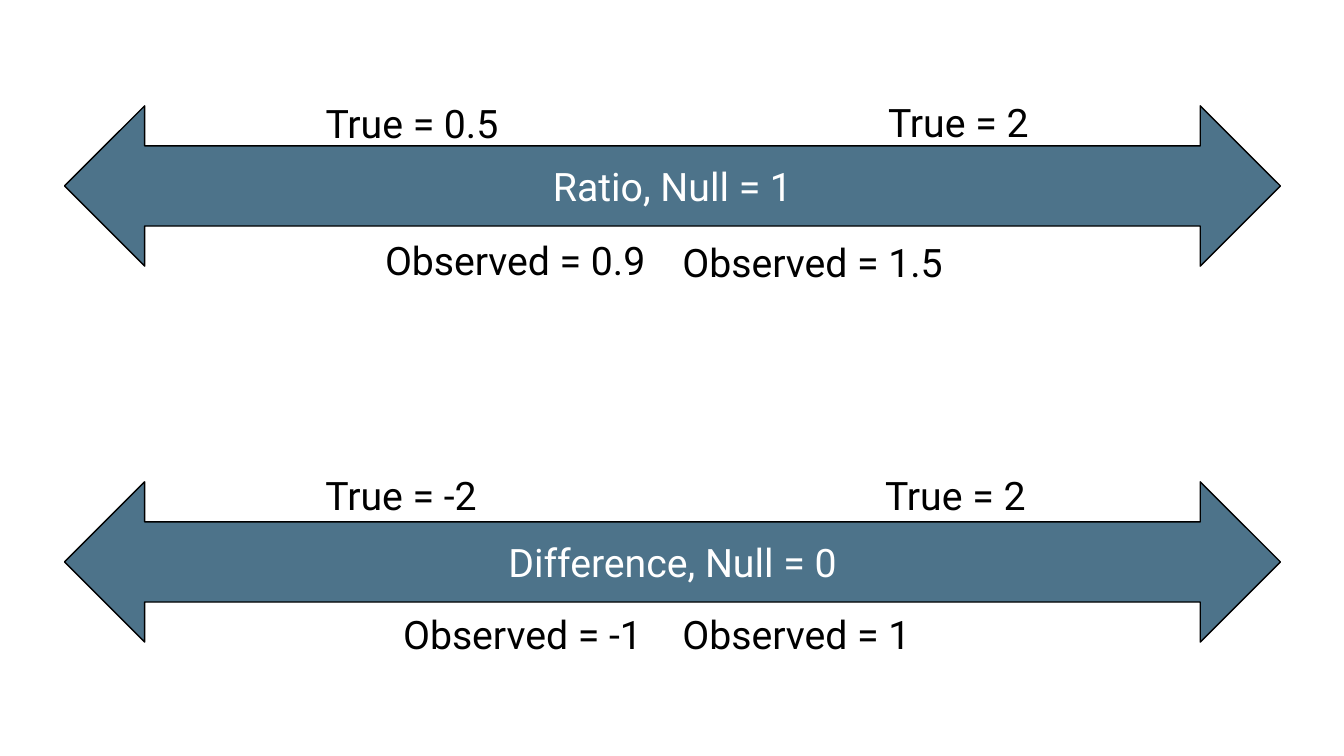
from pptx import Presentation
from pptx.dml.color import RGBColor
from pptx.enum.shapes import MSO_SHAPE
from pptx.enum.text import MSO_ANCHOR, MSO_AUTO_SIZE, PP_ALIGN
from pptx.util import Emu, Pt

EMU_PER_PX = 9144
LABEL_HEIGHT = 57
SCALES = [
    ("Ratio, Null = 1", 105, [
        ("True = 2", 871, 93, 184),
        ("Observed = 1.5", 667, 232, 312),
        ("True = 0.5", 313, 94, 215),
        ("Observed = 0.9", 372, 230, 312),
    ]),
    ("Difference, Null = 0", 478, [
        ("True = 2", 868, 463, 197),
        ("Observed = 1", 667, 601, 312),
        ("True = -2", 313, 463, 197),
        ("Observed = -1", 390, 601, 277),
    ]),
]


def px(length):
    return Emu(length * EMU_PER_PX)


def color(value):
    return RGBColor.from_string(value)


def write(frame, wording, ink):
    frame.text = wording
    font = frame.paragraphs[0].runs[0].font
    font.name = "Roboto"
    font.size = Pt(28)
    font.color.rgb = color(ink)


def add_null_arrow(group, wording, top):
    arrow = group.shapes.add_shape(
        MSO_SHAPE.LEFT_RIGHT_ARROW, px(64), px(top), px(1206), px(159))
    arrow.shadow.inherit = False
    arrow.fill.solid()
    arrow.fill.fore_color.rgb = color("4D738A")
    arrow.line.color.rgb = color("000000")
    arrow.line.width = Pt(1)
    write(arrow.text_frame, wording, "FFFFFF")
    arrow.text_frame.vertical_anchor = MSO_ANCHOR.MIDDLE
    arrow.text_frame.paragraphs[0].alignment = PP_ALIGN.CENTER


def add_label(group, wording, left, top, width):
    label = group.shapes.add_textbox(px(left), px(top), px(width), px(LABEL_HEIGHT))
    label.text_frame.word_wrap = True
    label.text_frame.auto_size = MSO_AUTO_SIZE.SHAPE_TO_FIT_TEXT
    write(label.text_frame, wording, "000000")


def main():
    deck = Presentation()
    deck.slide_width = px(1333)
    deck.slide_height = px(750)
    slide = deck.slides.add_slide(deck.slide_layouts[6])
    for null_value, arrow_top, labels in SCALES:
        group = slide.shapes.add_group_shape()
        add_null_arrow(group, null_value, arrow_top)
        for label in labels:
            add_label(group, *label)
    deck.save("out.pptx")


if __name__ == "__main__":
    main()
